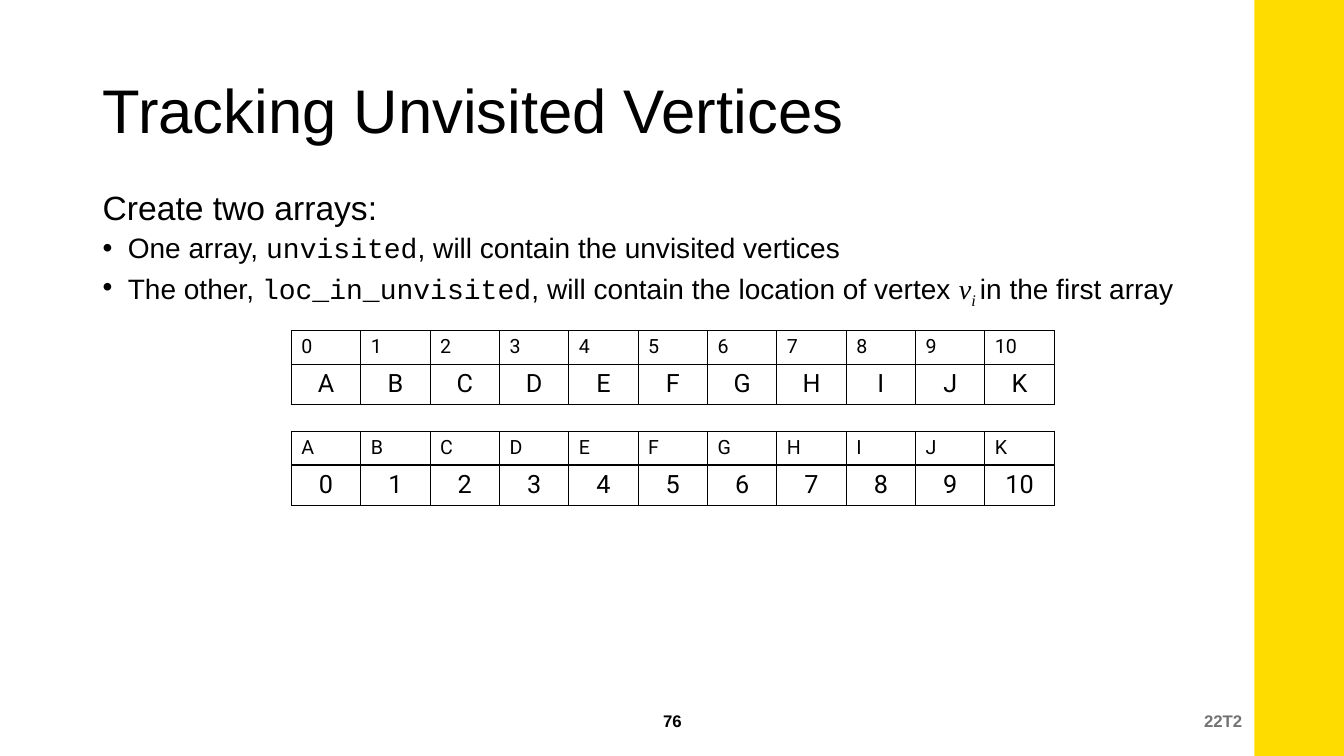
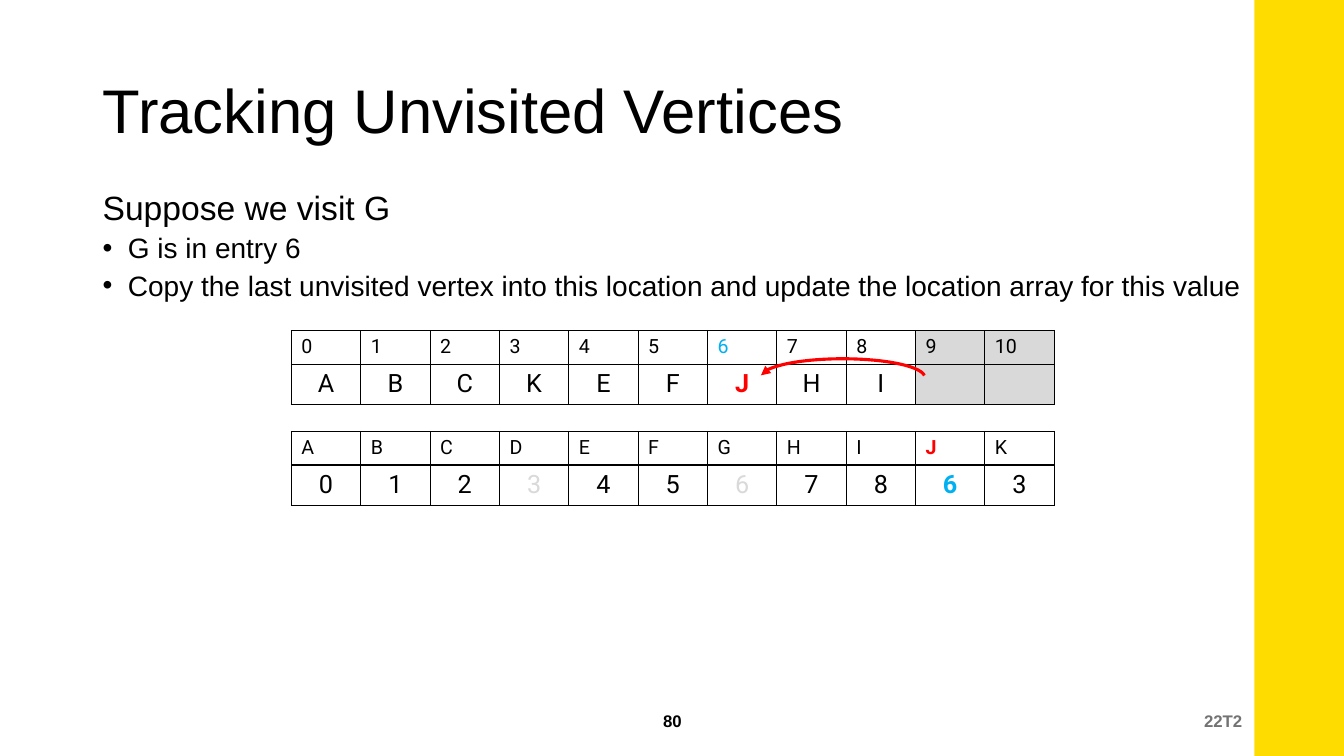
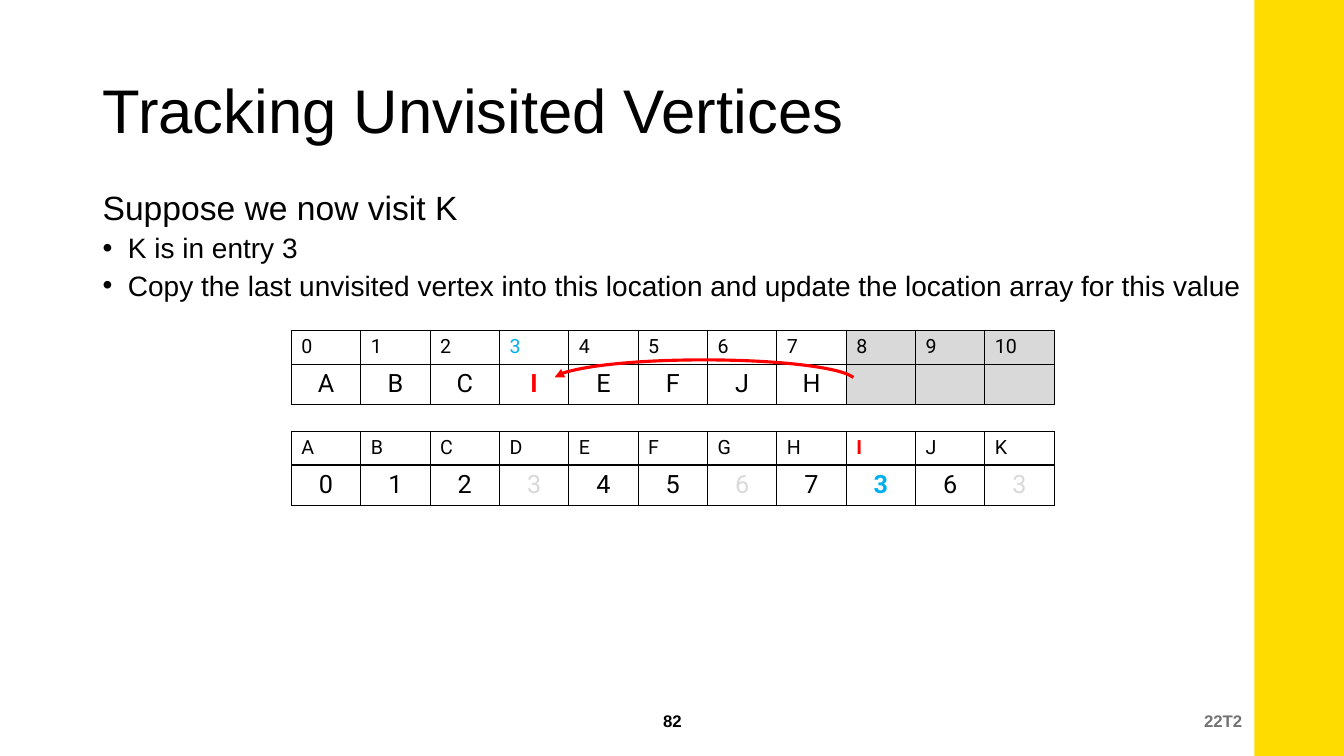
from dataclasses import dataclass

from lxml import etree
from pptx import Presentation
from pptx import util as u
from pptx.dml.color import RGBColor
from pptx.enum import shapes, text
from pptx.oxml import ns


@dataclass(frozen=True)
class Theme:
    black: str = "000000"
    yellow: str = "FFDC00"
    footer_grey: str = "737373"
    pale_grey: str = "D9D9D9"
    blue: str = "00B0F0"
    red: str = "FF0000"
    sans: str = "Arial"
    code: str = "Courier New"
    maths: str = "Times New Roman"
    array: str = "Roboto"
    title: int = 44
    lead: int = 24
    bullet: int = 20
    entry: int = 18
    index: int = 14
    footer: int = 12


@dataclass(frozen=True)
class Box:
    left: float
    top: float
    width: float
    height: float

    def emu(self) -> tuple:
        return tuple(u.Inches(v) for v in (self.left, self.top, self.width, self.height))


@dataclass(frozen=True)
class Span:
    words: str
    font: str = "Arial"
    italic: bool = False
    bold: bool = False
    color: str = "000000"
    baseline: int = 0


@dataclass(frozen=True)
class Entry:
    words: str
    color: str = "000000"
    bold: bool = False
    fill: str = ""


@dataclass(frozen=True)
class Step:
    page: int
    lead: str
    bullets: tuple
    unvisited: str
    locations: str
    target: int = -1
    arc_top: float = 0
    arc_height: float = 0


T = Theme()
WIDTH, HEIGHT = 13.33, 7.5
BAND = Box(12.44, 0, WIDTH - 12.44, HEIGHT)
TITLE = Box(0.92, 0.4, 11.5, 1.45)
BODY = Box(0.92, 1.85, 11.5, 4.76)
TERM = Box(7.92, 6.95, 4.5, 0.4)
PAGE = Box(5.17, 6.95, 3, 0.4)
LETTERS = "ABCDEFGHIJK"
COLUMN = 7.57 / len(LETTERS)
ROWS = (0.33, 0.4)
ARRAY_LEFT, ARRAY_TOP, ARRAY_PITCH = 2.89, 3.28, 1.0
ARC_START, ARC_END = 0.13, 0.76
ARC_ANGLES = (108.869, 215.176)

COPY_LAST = (Span("Copy the last unvisited vertex into this location "
                  "and update the location array for this value"),)

STEPS = (
    Step(76, "Create two arrays:", (
        (Span("One array, "), Span("unvisited", T.code),
         Span(", will contain the unvisited vertices")),
        (Span("The other, "), Span("loc_in_unvisited", T.code),
         Span(", will contain the location of vertex "),
         Span("v", T.maths, italic=True),
         Span("i ", T.maths, italic=True, baseline=-25000),
         Span("in the first array")),
    ), LETTERS, "0 1 2 3 4 5 6 7 8 9 10"),
    Step(80, "Suppose we visit G", ((Span("G is in entry 6"),), COPY_LAST),
         "ABCKEFJHI", "0 1 2 3 4 5 6 7 8 6 3", 6, 3.56, 0.37),
    Step(82, "Suppose we now visit K", ((Span("K is in entry 3"),), COPY_LAST),
         "ABCIEFJH", "0 1 2 3 4 5 6 7 3 6 3", 3, 3.57, 0.42),
)


def add_span(paragraph, span: Span, size: int) -> None:
    run = paragraph.add_run()
    run.text = span.words
    run.font.name, run.font.size = span.font, u.Pt(size)
    run.font.bold, run.font.italic = span.bold, span.italic
    run.font.color.rgb = RGBColor.from_string(span.color)
    if span.baseline:
        run.font._element.set("baseline", str(span.baseline))


def add_frame(slide, box: Box, anchor=text.MSO_ANCHOR.MIDDLE):
    frame = slide.shapes.add_textbox(*box.emu()).text_frame
    frame.word_wrap = True
    frame.vertical_anchor = anchor
    return frame


def add_line(slide, box: Box, span: Span, size: int, align=text.PP_ALIGN.LEFT) -> None:
    paragraph = add_frame(slide, box).paragraphs[0]
    paragraph.alignment = align
    paragraph.line_spacing = 0.9 if size == T.title else 1.0
    add_span(paragraph, span, size)


def add_common(slide, page: int) -> None:
    band = slide.shapes.add_shape(shapes.MSO_SHAPE.RECTANGLE, *BAND.emu())
    band.shadow.inherit = False
    band.fill.solid()
    band.fill.fore_color.rgb = RGBColor.from_string(T.yellow)
    band.line.fill.background()
    add_line(slide, TITLE, Span("Tracking Unvisited Vertices"), T.title)
    add_line(slide, TERM, Span("22T2", bold=True, color=T.footer_grey), T.footer,
             text.PP_ALIGN.RIGHT)
    add_line(slide, PAGE, Span(str(page), bold=True), T.footer, text.PP_ALIGN.CENTER)


def add_body(slide, step: Step) -> None:
    frame = add_frame(slide, BODY, text.MSO_ANCHOR.TOP)
    lead = frame.paragraphs[0]
    lead.line_spacing = 0.9
    add_span(lead, Span(step.lead), T.lead)
    for spans in step.bullets:
        paragraph = frame.add_paragraph()
        paragraph.level = 1
        paragraph.line_spacing, paragraph.space_before = 0.9, u.Pt(5)
        props = paragraph._p.get_or_add_pPr()
        props.set("marL", str(u.Inches(0.25)))
        props.set("indent", str(-u.Inches(0.25)))
        etree.SubElement(props, ns.qn("a:buFont")).set("typeface", T.sans)
        etree.SubElement(props, ns.qn("a:buChar")).set("char", "•")
        for span in spans:
            add_span(paragraph, span, T.bullet)


def add_borders(cell) -> None:
    props = cell._tc.get_or_add_tcPr()
    for side in ("lnL", "lnR", "lnT", "lnB"):
        line = etree.SubElement(props, ns.qn(f"a:{side}"), w=str(u.Pt(1)))
        solid = etree.SubElement(line, ns.qn("a:solidFill"))
        etree.SubElement(solid, ns.qn("a:srgbClr"), val=T.black)


def add_array(slide, order: int, rows: tuple) -> None:
    box = Box(ARRAY_LEFT, ARRAY_TOP + order * ARRAY_PITCH, COLUMN * len(LETTERS), sum(ROWS))
    table = slide.shapes.add_table(len(ROWS), len(LETTERS), *box.emu()).table
    table.first_row = table.horz_banding = False
    for column in table.columns:
        column.width = u.Inches(COLUMN)
    styles = ((T.index, text.PP_ALIGN.LEFT), (T.entry, text.PP_ALIGN.CENTER))
    for r, (entries, (size, align)) in enumerate(zip(rows, styles)):
        table.rows[r].height = u.Inches(ROWS[r])
        for c, entry in enumerate(entries):
            cell = table.cell(r, c)
            add_borders(cell)
            if entry.fill:
                cell.fill.solid()
                cell.fill.fore_color.rgb = RGBColor.from_string(entry.fill)
            else:
                cell.fill.background()
            paragraph = cell.text_frame.paragraphs[0]
            paragraph.alignment = align
            if entry.words:
                add_span(paragraph, Span(entry.words, T.array, bold=entry.bold,
                                         color=entry.color), size)


def unvisited_rows(step: Step) -> tuple:
    indices, vertices = [], []
    for i in range(len(LETTERS)):
        live, moved = i < len(step.unvisited), i == step.target
        fill = "" if live else T.pale_grey
        indices.append(Entry(str(i), T.blue if moved else T.black, fill=fill))
        vertices.append(Entry(step.unvisited[i] if live else "",
                              T.red if moved else T.black, moved, fill))
    return indices, vertices


def location_rows(step: Step) -> tuple:
    copied = step.unvisited[step.target] if step.target >= 0 else ""
    letters, places = [], []
    for letter, place in zip(LETTERS, step.locations.split()):
        moved = letter == copied
        shade = T.black if letter in step.unvisited else T.pale_grey
        letters.append(Entry(letter, T.red if moved else T.black, moved))
        places.append(Entry(place, T.blue if moved else shade, moved))
    return letters, places


def add_move(slide, step: Step) -> None:
    first = step.target + ARC_END
    last = len(step.unvisited) + ARC_START
    box = Box(ARRAY_LEFT + first * COLUMN, step.arc_top, (last - first) * COLUMN,
              step.arc_height)
    arc = slide.shapes.add_shape(shapes.MSO_SHAPE.ARC, *box.emu())
    arc.shadow.inherit = False
    for i, angle in enumerate(ARC_ANGLES):
        arc.adjustments[i] = angle
    arc.fill.background()
    arc.line.color.rgb = RGBColor.from_string(T.red)
    arc.line.width = u.Pt(2.25)
    etree.SubElement(arc.line._get_or_add_ln(), ns.qn("a:headEnd"), type="triangle")


def main() -> None:
    deck = Presentation()
    deck.slide_width, deck.slide_height = u.Inches(WIDTH), u.Inches(HEIGHT)
    for step in STEPS:
        slide = deck.slides.add_slide(deck.slide_layouts[6])
        add_common(slide, step.page)
        add_body(slide, step)
        for order, rows in enumerate((unvisited_rows(step), location_rows(step))):
            add_array(slide, order, rows)
        if step.target >= 0:
            add_move(slide, step)
    deck.save("out.pptx")


if __name__ == "__main__":
    main()
